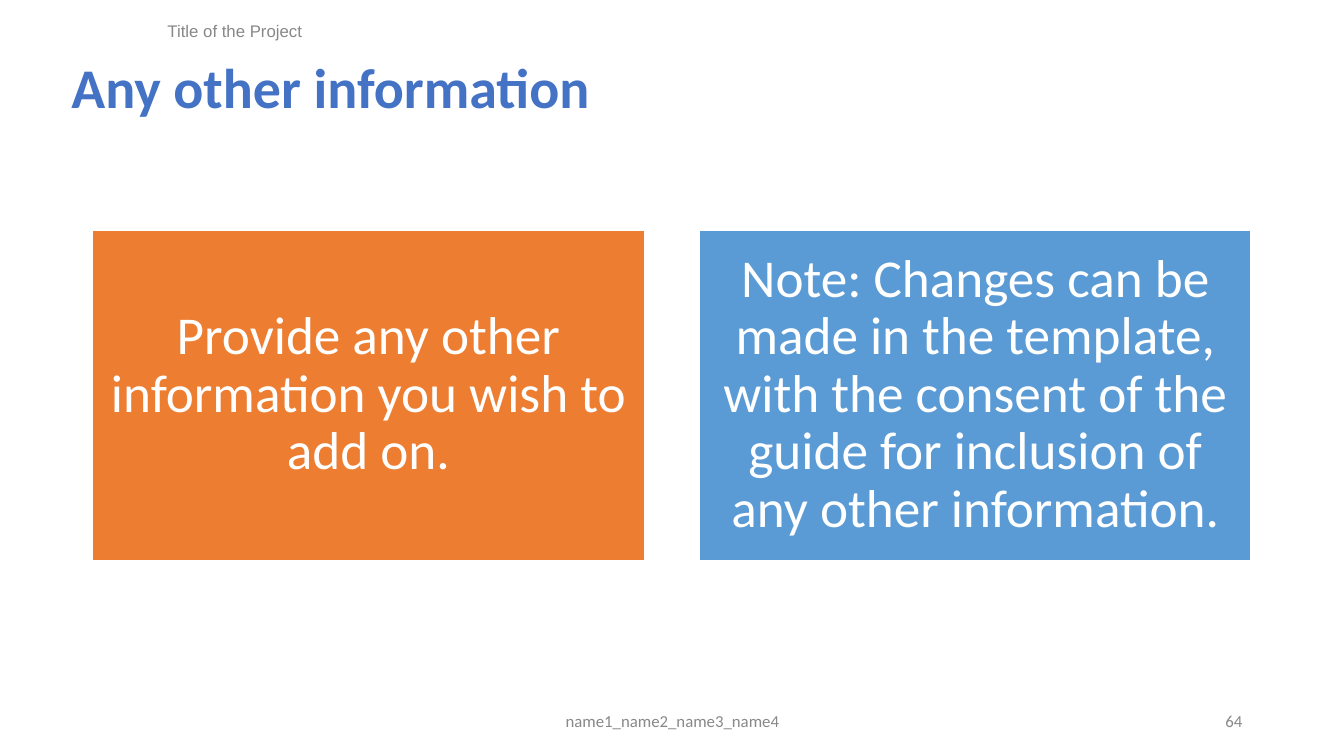
from pptx import Presentation
from pptx.dml.color import RGBColor
from pptx.enum.shapes import MSO_SHAPE
from pptx.enum.text import MSO_ANCHOR, PP_ALIGN
from pptx.util import Inches, Pt

# Content
COLORS = {"title": "4472C4", "orange": "ED7D31", "blue": "5B9BD5",
          "white": "FFFFFF", "gray": "888888"}
TITLE = "Any other information"
CARDS = [
    ("Provide any other information you wish to add on.", "orange"),
    ("Note: Changes can be made in the template, with the consent of the "
     "guide for inclusion of any other information.", "blue"),
]
# text, left, top, width, alignment, font
MARGIN_LABELS = [
    ("name1_name2_name3_name4", 4.42, 6.95, 4.5, PP_ALIGN.CENTER, "Calibri"),
    ("64", 9.42, 6.95, 3, PP_ALIGN.RIGHT, "Calibri"),
    ("Title of the Project", 0.08, 0.11, 4.5, PP_ALIGN.CENTER, "Arial"),
]

# Card grid: one row, equal columns
CARD_LEFT, CARD_TOP = 0.92, 2.28
CARD_WIDTH, CARD_HEIGHT, CARD_GAP = 5.47, 3.28, 0.55
LABEL_HEIGHT = 0.4


def rgb(name):
    return RGBColor.from_string(COLORS[name])


def write(holder, text, size, color, align, font="Calibri", bold=False,
          spacing=1.0, inset=None):
    frame = holder.text_frame
    frame.word_wrap = True
    frame.vertical_anchor = MSO_ANCHOR.MIDDLE
    if inset is not None:
        frame.margin_left = frame.margin_right = Inches(inset)
        frame.margin_top = frame.margin_bottom = Inches(inset)
    frame.text = text
    paragraph = frame.paragraphs[0]
    paragraph.alignment = align
    paragraph.line_spacing = spacing
    style = paragraph.runs[0].font
    style.name, style.size, style.bold = font, Pt(size), bold
    style.color.rgb = rgb(color)


def main():
    deck = Presentation()
    deck.slide_width, deck.slide_height = Inches(13.33), Inches(7.5)
    slide = deck.slides.add_slide(deck.slide_layouts[6])

    # Title
    title = slide.shapes.add_textbox(
        Inches(0.61), Inches(0.44), Inches(11.5), Inches(0.92))
    write(title, TITLE, 40, "title", PP_ALIGN.LEFT, bold=True, spacing=0.9)

    # Cards
    for column, (message, fill) in enumerate(CARDS):
        left = CARD_LEFT + column * (CARD_WIDTH + CARD_GAP)
        card = slide.shapes.add_shape(
            MSO_SHAPE.RECTANGLE, Inches(left), Inches(CARD_TOP),
            Inches(CARD_WIDTH), Inches(CARD_HEIGHT))
        card.shadow.inherit = False
        card.fill.solid()
        card.fill.fore_color.rgb = rgb(fill)
        card.line.color.rgb = rgb("white")
        card.line.width = Pt(1)
        write(card, message, 38, "white", PP_ALIGN.CENTER, spacing=0.9, inset=0.16)

    # Header, footer and page number
    for text, left, top, width, align, font in MARGIN_LABELS:
        label = slide.shapes.add_textbox(
            Inches(left), Inches(top), Inches(width), Inches(LABEL_HEIGHT))
        write(label, text, 12, "gray", align, font)

    deck.save("out.pptx")


if __name__ == "__main__":
    main()
